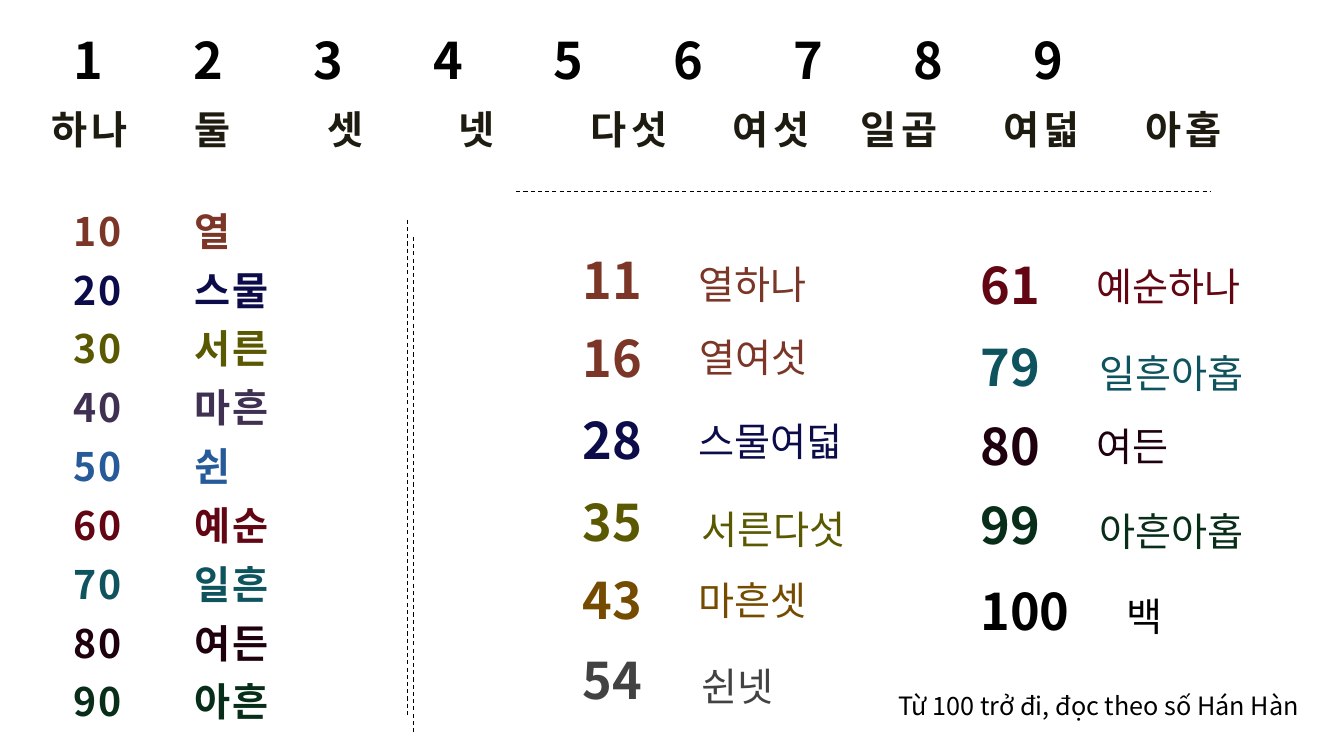
from lxml import etree
from pptx import Presentation
from pptx.dml.color import RGBColor
from pptx.enum.dml import MSO_LINE
from pptx.enum.shapes import MSO_CONNECTOR
from pptx.enum.text import MSO_ANCHOR, MSO_AUTO_SIZE
from pptx.oxml.ns import qn
from pptx.util import Inches, Pt

STRAIGHT = MSO_CONNECTOR.STRAIGHT
DASH = MSO_LINE.DASH
TOP, MIDDLE = MSO_ANCHOR.TOP, MSO_ANCHOR.MIDDLE
FIT = MSO_AUTO_SIZE.SHAPE_TO_FIT_TEXT

BLACK = "000000"
BROWN, NAVY, OLIVE = "7C3628", "0B0C49", "5A5800"
RED, TEAL, PLUM, GREEN = "620613", "0E535E", "1E000E", "082E19"


def rgb(value):
    return RGBColor.from_string(value)


def write(p, text, size=28, color=BLACK, bold=False, spacing=0, font="Noto Sans CJK KR"):
    """Add one formatted run; spacing is the letter spacing in points."""
    r = p.add_run()
    r.text = text
    r.font.size, r.font.bold, r.font.name = Pt(size), bold, font
    r.font.color.rgb = rgb(color)
    rPr = r._r.get_or_add_rPr()
    if spacing:
        rPr.set("spc", str(round(spacing * 100)))
    etree.SubElement(rPr, qn("a:ea")).set("typeface", font)


class Board:
    """Draws on one slide; places and sizes are percentages of the slide."""

    def __init__(self, prs):
        self.prs = prs
        self.s = prs.slides.add_slide(prs.slide_layouts[6])

    def x(self, share):
        return round(self.prs.slide_width * share / 100)

    def y(self, share):
        return round(self.prs.slide_height * share / 100)

    def box(self, left, top, width, height, anchor=TOP):
        sp = self.s.shapes.add_textbox(self.x(left), self.y(top), self.x(width), self.y(height))
        tf = sp.text_frame
        tf.word_wrap, tf.auto_size, tf.vertical_anchor = True, FIT, anchor
        return tf

    def text(self, text, left, top, width, height, **style):
        write(self.box(left, top, width, height).paragraphs[0], text, **style)

    def tabbed(self, items, stops, left, top, width, height, **style):
        """One line of items, each after the first at a tab stop in inches."""
        p = self.box(left, top, width, height).paragraphs[0]
        tabs = etree.SubElement(p._p.get_or_add_pPr(), qn("a:tabLst"))
        for stop in stops:
            etree.SubElement(tabs, qn("a:tab"), pos=str(Inches(stop)), algn="l")
        write(p, "\t".join(items), **style)

    def column(self, items, colors, left, top, width, height, pitch=21):
        tf = self.box(left, top, width, height, MIDDLE)
        for i, (item, color) in enumerate(zip(items, colors)):
            p = tf.add_paragraph() if i else tf.paragraphs[0]
            p.line_spacing = Pt(pitch)
            p.space_before = Pt(pitch if i else 0)
            write(p, item, color=color, bold=True, spacing=1.5)

    def dashed(self, x1, y1, x2, y2):
        c = self.s.shapes.add_connector(STRAIGHT, self.x(x1), self.y(y1), self.x(x2), self.y(y2))
        c.line.color.rgb = rgb(BLACK)
        c.line.width, c.line.dash_style = Pt(0.75), DASH
        etree.SubElement(c._element.spPr, qn("a:effectLst"))


UNITS = "하나 둘 셋 넷 다섯 여섯 일곱 여덟 아홉".split()
UNIT_STOPS = [1.42, 2.74, 4.04, 5.35, 6.76, 8.03, 9.44, 10.85]
TENS = "열 스물 서른 마흔 쉰 예순 일흔 여든 아흔".split()
TEN_COLORS = [BROWN, NAVY, OLIVE, "403152", "265A99", RED, TEAL, PLUM, GREEN]

# number, its top, word, its left and top, colour; keyed by the numbers' left
EXAMPLES = {
    42.6: [
        ("11", 32.27, "열하나", 51.23, 33.73, BROWN),
        ("16", 42.67, "열여섯", 51.3, 43.47, BROWN),
        ("28", 53.47, "스물여덟", 51.23, 54.53, NAVY),
        ("35", 64.27, "서른다섯", 51.45, 66.13, OLIVE),
        ("43", 74.67, "마흔셋", 51.23, 75.6, "754B00"),
        ("54", 85.2, "쉰넷", 51.45, 86.93, "424242"),
    ],
    72.2: [
        ("61", 32.93, "예순하나", 80.85, 34, RED),
        ("79", 43.87, "일흔아홉", 81.08, 45.6, TEAL),
        ("80", 54.27, "여든", 80.85, 55.2, PLUM),
        ("99", 64.67, "아흔아홉", 81.08, 66.4, GREEN),
        ("100", 76.13, "백", 83.1, 77.73, BLACK),
    ],
}


def main():
    prs = Presentation()
    prs.slide_width, prs.slide_height = Inches(13.33), Inches(7.5)
    board = Board(prs)

    # One to nine across the top
    board.tabbed(UNITS, UNIT_STOPS, 3.08, 13.33, 95.1, 7.6,
                 color="1E1C11", bold=True, spacing=3.2)
    board.tabbed([str(n) for n in range(1, 10)], [1.19 * n for n in range(1, 9)],
                 4.73, 3.2, 95.27, 9.47, size=36, bold=True, spacing=4)

    # Tens down the left side
    board.column([str(n) for n in range(10, 100, 10)], TEN_COLORS, 4.73, 28.53, 7.8, 68.53)
    board.column(TENS, TEN_COLORS, 13.73, 28.53, 7.8, 68.53)

    # Compound examples
    for left, rows in EXAMPLES.items():
        for number, top, word, word_left, word_top, color in rows:
            board.text(number, left, top, 8.8, 9.47, size=36, color=color, bold=True)
            board.text(word, word_left, word_top, 7 + 2 * len(word), 7.6, color=color)

    # Dividers
    board.dashed(30.31, 29.07, 30.31, 94.53)
    board.dashed(30.76, 31.33, 30.76, 96.8)
    board.dashed(38.41, 25.33, 90.02, 25.33)

    # Closing note
    board.text("Từ 100 trở đi, đọc theo số Hán Hàn", 66.09, 90.67, 33.16, 5.33, size=18)

    prs.save("out.pptx")


if __name__ == "__main__":
    main()
